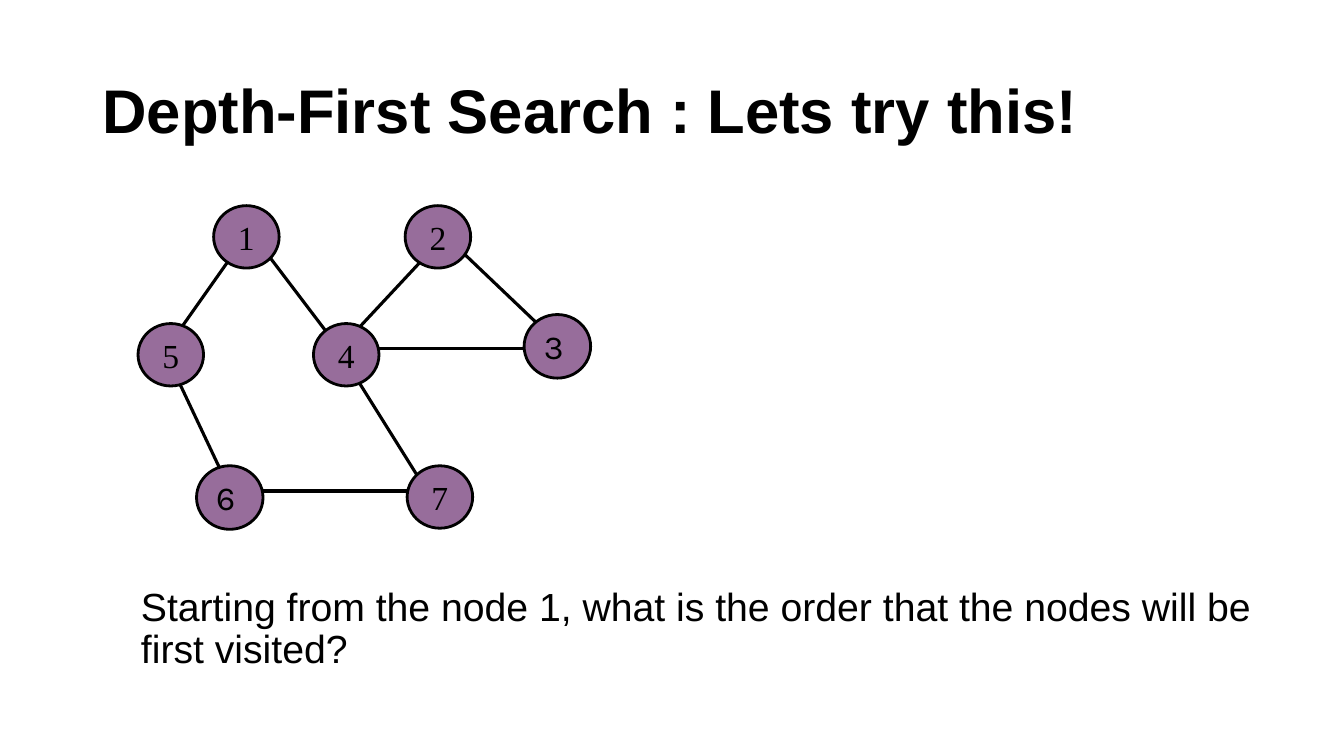
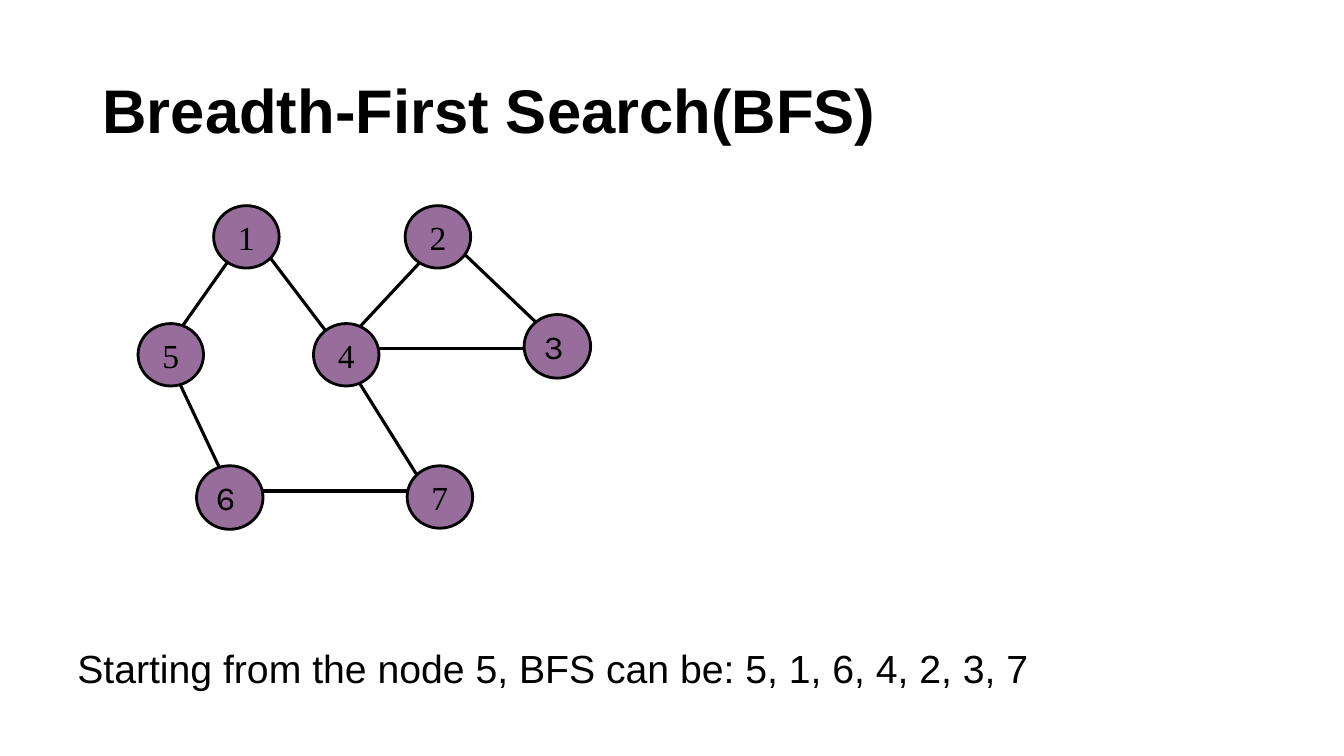
from dataclasses import dataclass
from lxml.etree import SubElement
from pptx import Presentation
from pptx.dml.color import RGBColor
from pptx.enum.shapes import MSO_CONNECTOR, MSO_SHAPE
from pptx.enum.text import MSO_ANCHOR, PP_ALIGN
from pptx.oxml.ns import qn
from pptx.util import Pt


@dataclass(frozen=True)
class Theme:
    ink: RGBColor = RGBColor(0x00, 0x00, 0x00)
    node: RGBColor = RGBColor(0x97, 0x6D, 0x9B)
    text: str = "Arial"
    serif: str = "Times New Roman"
    plain: str = "Karla"
    title: int = 44
    body: int = 28
    label: int = 24
    edge: float = 2.25
    rim: int = 2


THEME = Theme()
TITLE_BOX = (66, 29, 828, 104)
GRAPH_AT = (98.6, 146.9)

# Rows of the graph, then nodes: label, left, top (relative to the graph)
TOP, MID, LOW = 0, 84.2, 185.8
NODES = [("3", 275.8, 77.8), ("6", 41.8, LOW), ("1", 54, TOP),
         ("2", 190.8, TOP), ("5", 0, MID), ("4", 125.3, MID),
         ("7", 192.2, LOW)]
LEFT_SET = {"3", "6"}  # labels in the plain font, not centred

# Edges: x and y of both ends (relative to the graph)
EDGES = [
    (75.6, 23.8, 23.8, 97.2),       # 1-5
    (84.2, 23.8, 145.4, 104.4),     # 1-4
    (211, 30.2, 149.8, 95.8),       # 2-4
    (221.8, 23.8, 298.8, 97.2),     # 2-3
    (156.2, 102.2, 309.6, 102.2),   # 4-3
    (150.5, 114.5, 208.1, 206.6),   # 4-7
    (77.8, 203.8, 231.1, 203.8),    # 6-7
    (23.8, 114.5, 64.1, 199.8),     # 5-6
]

SLIDES = [
    ("Depth-First Search : Lets try this!",
     "Starting from the node 1, what is the order that the nodes will be "
     "first visited?", (93.6, 416.2, 810, 108)),
    ("Breadth-First Search(BFS)",
     "Starting from the node 5, BFS can be: 5, 1, 6, 4, 2, 3, 7",
     (48.2, 460.4, 810, 62)),
]


def style(par, name, size, bold=False):
    font = par.font
    font.name, font.size, font.bold = name, Pt(size), bold
    font.color.rgb = THEME.ink


def add_title(slide, text, box):
    title = slide.shapes.title
    title.left, title.top, title.width, title.height = map(Pt, box)
    frame = title.text_frame
    frame.text = text
    frame.vertical_anchor = MSO_ANCHOR.MIDDLE
    par = frame.paragraphs[0]
    par.alignment = PP_ALIGN.LEFT
    par.line_spacing = 0.9
    style(par, THEME.text, THEME.title, True)


def add_note(slide, text, box):
    frame = slide.shapes.add_textbox(*map(Pt, box)).text_frame
    frame.word_wrap = True
    frame.text = text
    par = frame.paragraphs[0]
    par.line_spacing = 0.9
    style(par, THEME.text, THEME.body)


def add_edge(slide, x1, y1, x2, y2):
    edge = slide.shapes.add_connector(
        MSO_CONNECTOR.STRAIGHT, Pt(x1), Pt(y1), Pt(x2), Pt(y2))
    edge.line.color.rgb = THEME.ink
    edge.line.width = Pt(THEME.edge)
    SubElement(edge._element.spPr, qn("a:effectLst"))


def add_node(slide, label, x, y):
    plain = label in LEFT_SET
    size = (47.5, 45.4) if plain else (46.8, 44.6)
    node = slide.shapes.add_shape(
        MSO_SHAPE.OVAL, Pt(x), Pt(y), *map(Pt, size))
    node.shadow.inherit = False
    node.fill.solid()
    node.fill.fore_color.rgb = THEME.node
    node.line.color.rgb = THEME.ink
    node.line.width = Pt(THEME.rim)
    frame = node.text_frame
    frame.word_wrap = not plain
    frame.vertical_anchor = MSO_ANCHOR.MIDDLE
    frame.text = label
    par = frame.paragraphs[0]
    par.alignment = PP_ALIGN.LEFT if plain else PP_ALIGN.CENTER
    style(par, THEME.plain if plain else THEME.serif, THEME.label)


def add_graph(slide, left, top):
    # Edges first, so that the nodes cover their ends
    for x1, y1, x2, y2 in EDGES:
        add_edge(slide, left + x1, top + y1, left + x2, top + y2)
    for label, x, y in NODES:
        add_node(slide, label, left + x, top + y)


def main():
    deck = Presentation()
    deck.slide_width, deck.slide_height = Pt(960), Pt(540)
    layout = deck.slide_layouts[5]  # title only
    for title, note, box in SLIDES:
        slide = deck.slides.add_slide(layout)
        add_title(slide, title, TITLE_BOX)
        add_graph(slide, *GRAPH_AT)
        add_note(slide, note, box)
    deck.save("out.pptx")


if __name__ == "__main__":
    main()
